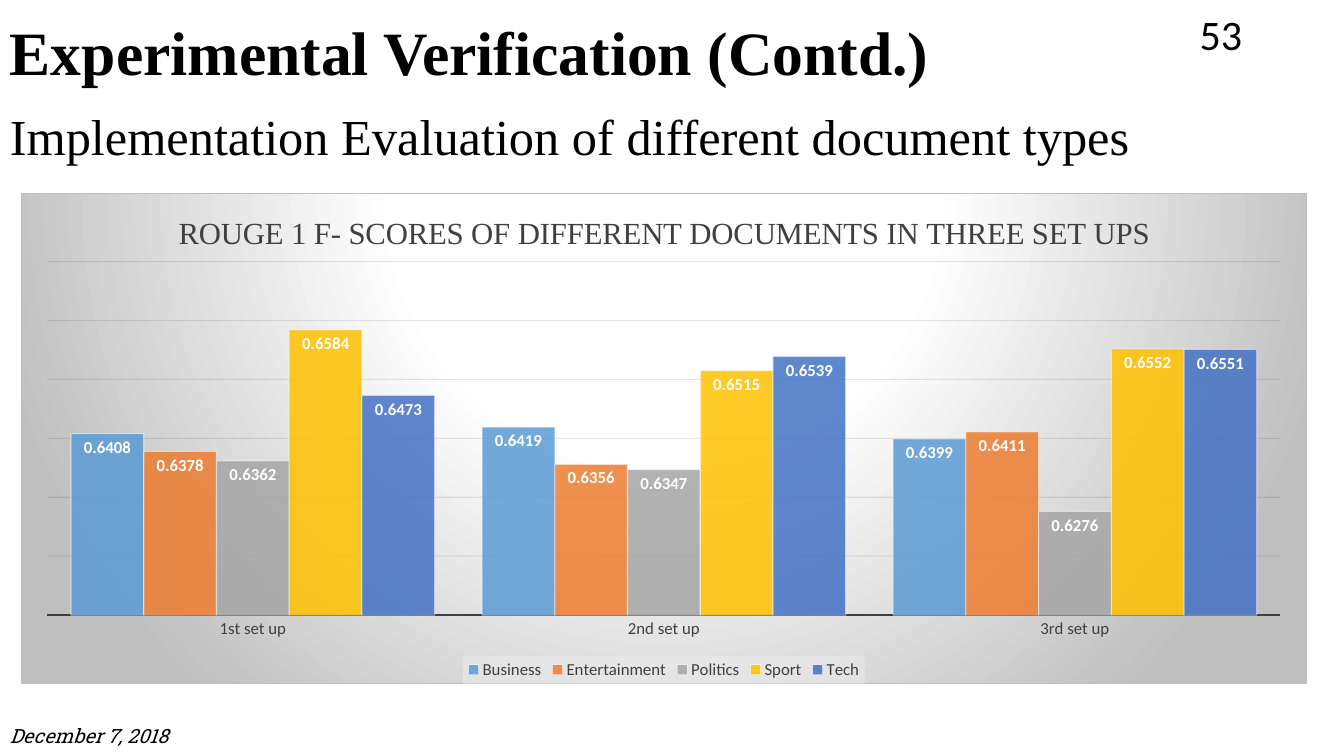
from lxml.etree import SubElement
from pptx import Presentation
from pptx.chart.data import CategoryChartData
from pptx.dml.color import RGBColor
from pptx.enum.chart import (XL_CHART_TYPE, XL_LABEL_POSITION, XL_LEGEND_POSITION,
                             XL_TICK_LABEL_POSITION, XL_TICK_MARK)
from pptx.enum.text import MSO_ANCHOR, PP_ALIGN
from pptx.oxml import parse_xml
from pptx.oxml.ns import nsdecls, qn
from pptx.util import Inches, Pt

BLACK = RGBColor(0x00, 0x00, 0x00)
WHITE = RGBColor(0xFF, 0xFF, 0xFF)
CHARCOAL = RGBColor(0x40, 0x40, 0x40)
GRID = RGBColor(0x0D, 0x0D, 0x0D)
BLUE = RGBColor(0x5B, 0x9B, 0xD5)
ORANGE = RGBColor(0xED, 0x7D, 0x31)
GREY = RGBColor(0xA5, 0xA5, 0xA5)
GOLD = RGBColor(0xFF, 0xC0, 0x00)
NAVY = RGBColor(0x44, 0x72, 0xC4)

SERIF = "Times New Roman"
SANS = "Calibri"
SLAB = "Roboto Slab"

SET_UPS = ["1st set up", "2nd set up", "3rd set up"]
SCORES = [
    ("Business", BLUE, (0.6408, 0.6419, 0.6399)),
    ("Entertainment", ORANGE, (0.6378, 0.6356, 0.6411)),
    ("Politics", GREY, (0.6362, 0.6347, 0.6276)),
    ("Sport", GOLD, (0.6584, 0.6515, 0.6552)),
    ("Tech", NAVY, (0.6473, 0.6539, 0.6551)),
]

CHART_AREA = f"""<c:spPr {nsdecls('c', 'a')}>
  <a:gradFill><a:gsLst>
    <a:gs pos="0"><a:srgbClr val="FFFFFF"/></a:gs>
    <a:gs pos="39000"><a:srgbClr val="FFFFFF"/></a:gs>
    <a:gs pos="100000"><a:srgbClr val="BFBFBF"/></a:gs>
  </a:gsLst><a:path path="circle">
    <a:fillToRect l="50000" t="-80000" r="50000" b="180000"/>
  </a:path></a:gradFill>
  <a:ln w="9525"><a:solidFill><a:srgbClr val="BFBFBF"/></a:solidFill></a:ln>
</c:spPr>"""
LEGEND_AREA = f"""<c:spPr {nsdecls('c', 'a')}><a:solidFill>
  <a:srgbClr val="F2F2F2"><a:alpha val="39000"/></a:srgbClr>
</a:solidFill></c:spPr>"""
PLOT_LAYOUT = f"""<c:layout {nsdecls('c')}><c:manualLayout>
  <c:layoutTarget val="inner"/><c:xMode val="edge"/><c:yMode val="edge"/>
  <c:x val="0.02"/><c:y val="0.14"/><c:w val="0.96"/><c:h val="0.72"/>
</c:manualLayout></c:layout>"""


class SlideBuilder:
    def __init__(self, slide):
        self.slide = slide

    @staticmethod
    def style(font, name, size, color, bold=False, italic=False):
        font.name, font.size = name, Pt(size)
        font.bold, font.italic = bold, italic
        font.color.rgb = color

    @staticmethod
    def paint(fill, color, opacity):
        """Solid fill with an opacity in percent."""
        fill.solid()
        fill.fore_color.rgb = color
        color_element = fill._xPr.find(qn("a:solidFill"))[0]
        SubElement(color_element, qn("a:alpha")).set("val", str(opacity * 1000))

    def text(self, wording, box, name, size, align=PP_ALIGN.LEFT, spacing=1.0,
             bold=False, italic=False):
        frame = self.slide.shapes.add_textbox(*map(Inches, box)).text_frame
        frame.word_wrap = True
        frame.vertical_anchor = MSO_ANCHOR.MIDDLE
        frame.text = wording
        paragraph = frame.paragraphs[0]
        paragraph.alignment, paragraph.line_spacing = align, spacing
        self.style(paragraph.runs[0].font, name, size, BLACK, bold, italic)

    def score_chart(self, heading, box):
        data = CategoryChartData(number_format="General")
        data.categories = SET_UPS
        for topic, _, values in SCORES:
            data.add_series(topic, values)
        chart = self.slide.shapes.add_chart(
            XL_CHART_TYPE.COLUMN_CLUSTERED, *map(Inches, box), data).chart
        self.style(chart.font, SANS, 10, BLACK)

        chart.has_title = True
        chart.chart_title.include_in_layout = False
        title = chart.chart_title.text_frame
        title.text = heading
        self.style(title.paragraphs[0].runs[0].font, SERIF, 22, CHARCOAL)

        self.format_axes(chart)
        self.format_bars(chart.plots[0])

        chart.has_legend = True
        chart.legend.position = XL_LEGEND_POSITION.BOTTOM
        chart.legend.include_in_layout = False
        self.style(chart.legend.font, SANS, 12, CHARCOAL)
        chart.legend._element.find(qn("c:txPr")).addprevious(parse_xml(LEGEND_AREA))

        plot_area = chart._chartSpace.chart.plotArea
        for layout in plot_area.findall(qn("c:layout")):
            plot_area.remove(layout)
        plot_area.insert(0, parse_xml(PLOT_LAYOUT))
        chart._chartSpace.chart.addnext(parse_xml(CHART_AREA))

    def format_axes(self, chart):
        set_ups, scores = chart.category_axis, chart.value_axis
        set_ups.major_tick_mark = XL_TICK_MARK.NONE
        set_ups.format.line.color.rgb = CHARCOAL
        set_ups.format.line.width = Pt(1.5)
        self.style(set_ups.tick_labels.font, SANS, 12, CHARCOAL)
        scores.minimum_scale, scores.maximum_scale = 0.61, 0.67
        scores.major_unit = 0.01
        scores.has_major_gridlines = True
        grid = scores.major_gridlines.format.line
        grid.width = Pt(0.75)
        self.paint(grid.fill, GRID, 10)
        scores.tick_label_position = XL_TICK_LABEL_POSITION.NONE
        scores.visible = False

    def format_bars(self, plot):
        plot.gap_width, plot.overlap = 65, 0
        plot.vary_by_categories = False
        for series, (_, color, _) in zip(plot.series, SCORES):
            self.paint(series.format.fill, color, 85)
            series.format.line.width = Pt(0.75)
            self.paint(series.format.line.fill, WHITE, 50)
            labels = series.data_labels
            labels.show_value = True
            labels.position = XL_LABEL_POSITION.INSIDE_END
            self.style(labels.font, SANS, 12, WHITE, bold=True)


def main():
    deck = Presentation()
    deck.slide_width, deck.slide_height = Inches(13.33), Inches(7.5)
    builder = SlideBuilder(deck.slides.add_slide(deck.slide_layouts[6]))
    builder.text("Implementation Evaluation of different document types",
                 (0, 0.98, 11.5, 0.81), SERIF, 36, spacing=0.9)
    builder.score_chart("ROUGE 1 F- SCORES OF DIFFERENT DOCUMENTS IN THREE SET UPS",
                        (0.21, 1.91, 12.75, 4.88))
    builder.text("December 7, 2018", (0, 7.1, 3, 0.4), SLAB, 14, italic=True)
    builder.text("53", (9.42, 0.13, 3, 0.4), SANS, 30, align=PP_ALIGN.RIGHT)
    builder.text("Experimental Verification (Contd.)", (0, 0, 11.71, 1.1),
                 SERIF, 44, spacing=0.9, bold=True)
    deck.save("out.pptx")


if __name__ == "__main__":
    main()
